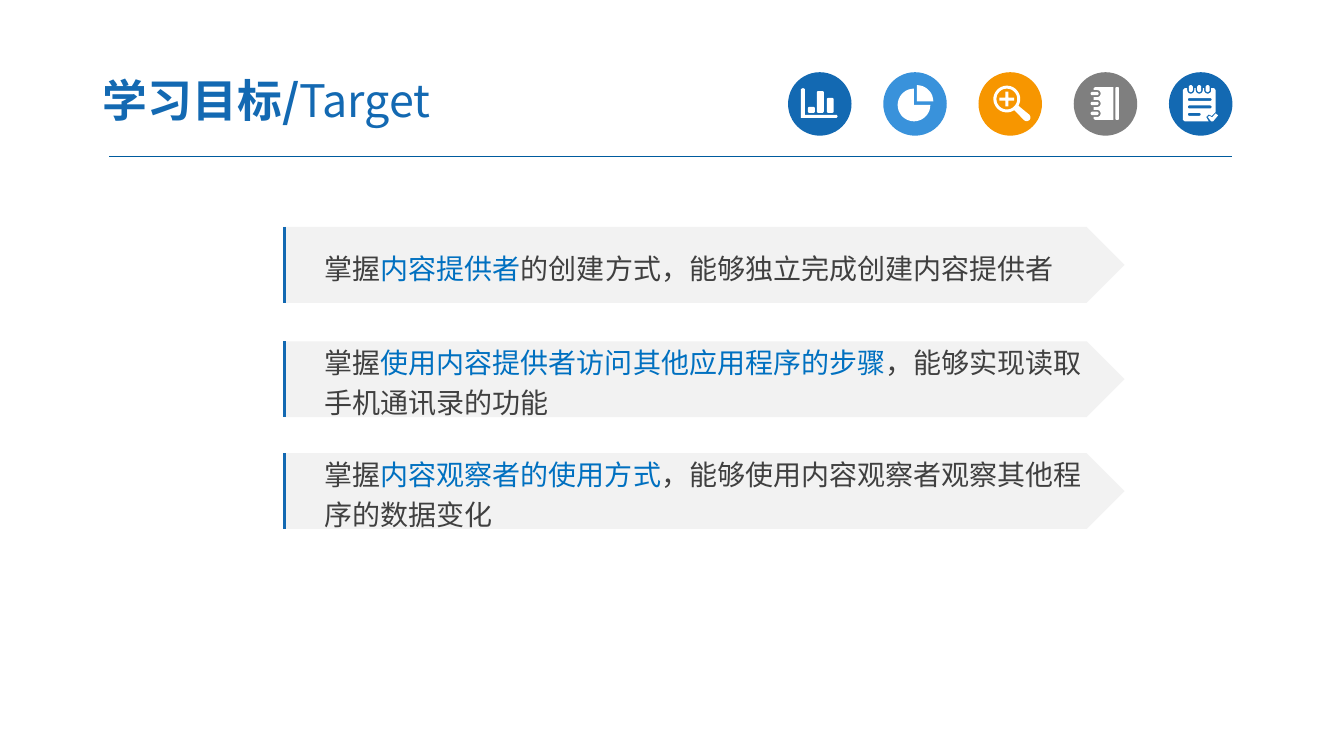
from dataclasses import dataclass
from math import cos, radians, sin

from lxml import etree
from pptx import Presentation
from pptx.dml.color import RGBColor
from pptx.enum.shapes import MSO_CONNECTOR, MSO_SHAPE
from pptx.enum.text import MSO_ANCHOR, PP_ALIGN
from pptx.oxml.ns import qn
from pptx.util import Cm, Pt

STRAIGHT = MSO_CONNECTOR.STRAIGHT
OVAL, ARROW_BAR = MSO_SHAPE.OVAL, MSO_SHAPE.PENTAGON
MIDDLE, LEFT = MSO_ANCHOR.MIDDLE, PP_ALIGN.LEFT

FONT = "Noto Sans CJK SC"
BLUE, SKY, ORANGE, GREY = "1369B2", "3992DB", "F79600", "7F7F7F"
WHITE, PALE, INK, KEYWORD, RULE = "FFFFFF", "F2F2F2", "404040", "0070C0", "005B9E"

DISC_LEFT, DISC_TOP, DISC_SIZE, DISC_STEP = 19.86, 1.82, 1.6, 2.4
ICON_UNIT = DISC_SIZE / 64  # symbols are drawn on a 64 x 64 grid
FINENESS = 10
BAR_LEFT, BAR_WIDTH, BAR_HEIGHT = 7.14, 21.2, 1.91

Contour = list[tuple[float, float]]


@dataclass
class Span:
    text: str
    color: str = INK
    size: int = 20
    bold: bool = False


@dataclass
class Goal:
    top: float
    lines: list[list[Span]]


@dataclass
class Icon:
    color: str
    contours: list[Contour]


def rgb(color: str) -> RGBColor:
    return RGBColor.from_string(color)


def arc(x: float, y: float, radius: float, start: float, end: float) -> Contour:
    """Points of an arc; angles in degrees, clockwise from the right."""
    steps = max(4, round(abs(end - start) / 10))
    angles = [radians(start + (end - start) * i / steps) for i in range(steps + 1)]
    return [(x + radius * cos(a), y + radius * sin(a)) for a in angles]


def rounded(left: float, top: float, right: float, bottom: float, radius: float = 1.5) -> Contour:
    corners = [(right - radius, bottom - radius, 0), (left + radius, bottom - radius, 90),
               (left + radius, top + radius, 180), (right - radius, top + radius, 270)]
    return [point for x, y, start in corners for point in arc(x, y, radius, start, start + 90)]


def bar_chart() -> list[Contour]:
    axes = [(13, 17), (15, 16), (17, 17), (17, 43), (49, 43), (50, 44.5), (49, 46), (13, 46)]
    bars = [(20, 35), (29, 19), (39, 26)]
    return [axes] + [rounded(left, top, left + 7, 41) for left, top in bars]


def pie_chart() -> list[Contour]:
    return [arc(34, 29.5, 16.5, 270, 360) + [(34, 29.5)],
            arc(31, 33, 16.5, 0, 270) + [(31, 33)]]


def magnifier() -> list[Contour]:
    x, y, reach, half = 28.5, 27, 7.5, 1.5
    rim = arc(x, y, 13.5, 56, 390) + arc(48.5, 45.5, 3.8, -45, 135)
    plus = [(half, half), (half, reach), (-half, reach), (-half, half), (-reach, half),
            (-reach, -half), (-half, -half), (-half, -reach), (half, -reach),
            (half, -half), (reach, -half), (reach, half)]
    return [rim, arc(x, y, 10.5, 0, 360), [(x + dx, y + dy) for dx, dy in plus]]


def notebook() -> list[Contour]:
    rings = (21.5, 31.5, 41.5)
    cover = [(20, 16), (21.5, 15), (40, 15), (40, 48), (21.5, 48), (20, 47)]
    for y in reversed(rings):
        cover += [(20, y + 3.6), *arc(23.5, y, 3.6, 90, -90), (20, y - 3.6)]
    return [cover, rounded(42, 15, 45.5, 48, 1)] + [
        rounded(17, y - 1.7, 25, y + 1.7, 1.7) for y in rings]


def checklist() -> list[Contour]:
    rings = (22, 30.5, 39)
    sheet = [(14, 18), (16, 16)]
    for x in rings:
        sheet += [(x - 3.6, 16), *arc(x, 18, 3.6, 180, 0), (x + 3.6, 16)]
    sheet += [(45.5, 16), (47, 18), (47, 40), (43, 44), (40, 42.5), (37.5, 45),
              (40, 49.5), (16, 49.5), (14, 48)]
    tick = [(39, 45), (41, 44), (43.5, 45.5), (47, 41.5), (49.5, 43.5), (44.5, 49.5), (42.5, 49.5)]
    entries = [(26, 43), (33.5, 43), (41, 32)]
    return ([sheet, tick] + [rounded(x - 2, 13, x + 2, 20, 2) for x in rings]
            + [rounded(19, y, right, y + 3) for y, right in entries])


ICONS = [Icon(BLUE, bar_chart()), Icon(SKY, pie_chart()), Icon(ORANGE, magnifier()),
         Icon(GREY, notebook()), Icon(BLUE, checklist())]
TITLE = [Span("学习目标/", BLUE, 32, True), Span("Target", BLUE, 32)]
GOALS = [
    Goal(5.72, [[Span("掌握"), Span("内容提供者", KEYWORD),
                 Span("的创建方式，能够独立完成创建内容提供者")]]),
    Goal(8.6, [[Span("掌握"), Span("使用内容提供者访问其他应用程序的步骤", KEYWORD),
                Span("，能够实现读取")],
               [Span("手机通讯录的功能")]]),
    Goal(11.42, [[Span("掌握"), Span("内容观察者的使用方式", KEYWORD),
                  Span("，能够使用内容观察者观察其他程")],
                 [Span("序的数据变化")]]),
]


def paint(shape, color: str) -> None:
    shape.shadow.inherit = False
    shape.fill.solid()
    shape.fill.fore_color.rgb = rgb(color)
    shape.line.fill.background()


def write_para(para, spans: list[Span]) -> None:
    para.alignment = LEFT
    for span in spans:
        run = para.add_run()
        run.text = span.text
        run.font.color.rgb = rgb(span.color)
        for name, value in {"size": Pt(span.size), "bold": span.bold, "name": FONT}.items():
            setattr(run.font, name, value)
        etree.SubElement(run.font._element, qn("a:ea"), typeface=FONT)


def format_frame(frame, **margins: float) -> None:
    values = {"word_wrap": True, "vertical_anchor": MIDDLE}
    values |= {f"margin_{side}": Cm(length) for side, length in margins.items()}
    for name, value in values.items():
        setattr(frame, name, value)


def draw_line(page, x1: float, y1: float, x2: float, y2: float, color: str, width: float) -> None:
    line = page.shapes.add_connector(STRAIGHT, Cm(x1), Cm(y1), Cm(x2), Cm(y2))
    line.line.color.rgb = rgb(color)
    line.line.width = Pt(width)
    etree.SubElement(line._element.spPr, qn("a:effectLst"))


def draw_icon(page, icon: Icon, left: float) -> None:
    disc = page.shapes.add_shape(OVAL, Cm(left), Cm(DISC_TOP), Cm(DISC_SIZE), Cm(DISC_SIZE))
    paint(disc, icon.color)
    fine = [[(x * FINENESS, y * FINENESS) for x, y in contour] for contour in icon.contours]
    builder = page.shapes.build_freeform(*fine[0][0], scale=Cm(ICON_UNIT) / FINENESS)
    builder.add_line_segments(fine[0][1:])
    for contour in fine[1:]:
        builder.move_to(*contour[0])
        builder.add_line_segments(contour[1:])
    paint(builder.convert_to_shape(Cm(left), Cm(DISC_TOP)), WHITE)


def draw_title(page) -> None:
    box = page.shapes.add_textbox(Cm(2.26), Cm(1.6), Cm(13.26), Cm(1.83))
    format_frame(box.text_frame, left=0.33, right=0.33, top=0.18, bottom=0.18)
    write_para(box.text_frame.paragraphs[0], TITLE)


def draw_goal(page, goal: Goal) -> None:
    bar = page.shapes.add_shape(ARROW_BAR, Cm(BAR_LEFT), Cm(goal.top), Cm(BAR_WIDTH), Cm(BAR_HEIGHT))
    paint(bar, PALE)
    frame = bar.text_frame
    format_frame(frame, left=1.04, right=0.1)
    for i, spans in enumerate(goal.lines):
        para = frame.add_paragraph() if i else frame.paragraphs[0]
        para.line_spacing = 1.2
        write_para(para, spans)
    edge = BAR_LEFT + 0.03
    draw_line(page, edge, goal.top, edge, goal.top + BAR_HEIGHT, BLUE, 1.5)


def main() -> None:
    deck = Presentation()
    deck.slide_width, deck.slide_height = Cm(33.87), Cm(19.05)
    page = deck.slides.add_slide(deck.slide_layouts[6])
    draw_line(page, 2.75, 3.94, 31.06, 3.94, RULE, 0.75)
    for i, icon in enumerate(ICONS):
        draw_icon(page, icon, DISC_LEFT + i * DISC_STEP)
    draw_title(page)
    for goal in GOALS:
        draw_goal(page, goal)
    deck.save("out.pptx")


if __name__ == "__main__":
    main()
